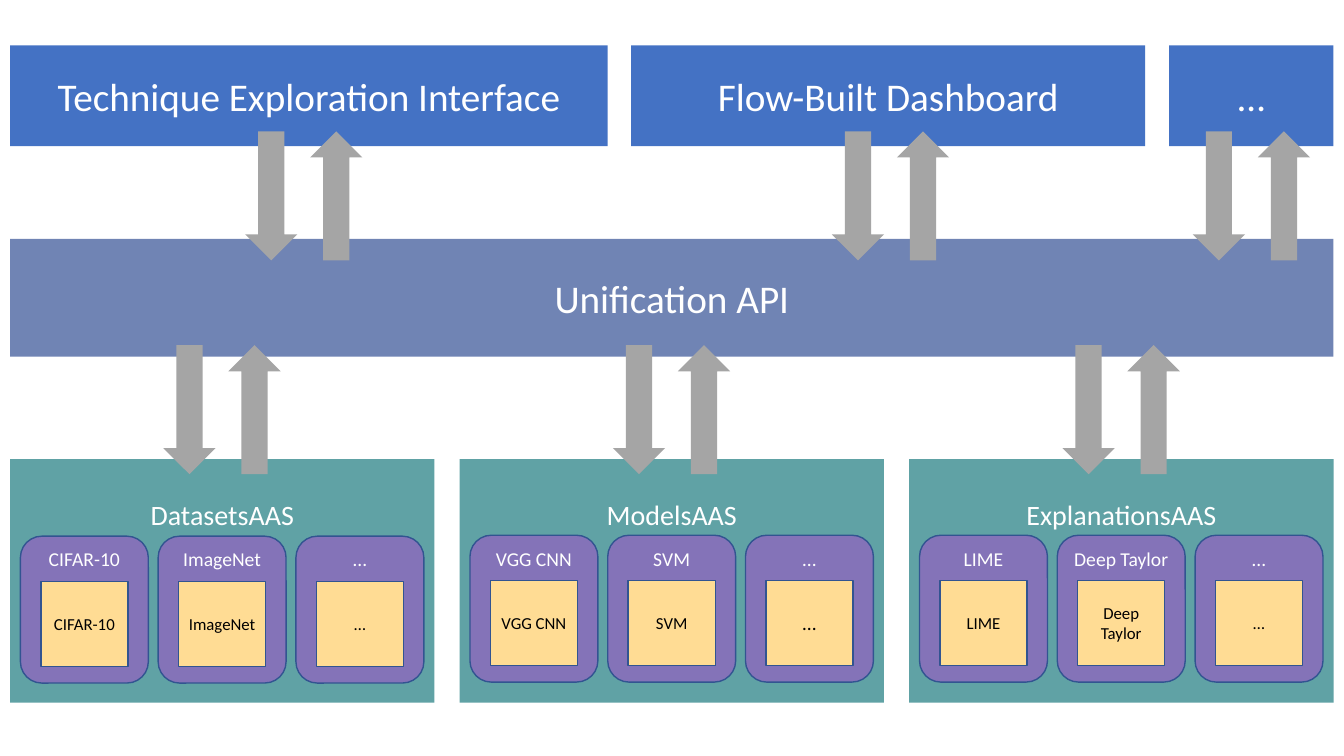
import pptx
import pptx.util
import pptx.dml.color
import pptx.enum.shapes
import pptx.enum.text

Pt = pptx.util.Pt
SHAPES = pptx.enum.shapes.MSO_SHAPE
ANCHORS = pptx.enum.text.MSO_ANCHOR

COLOURS = {
    "client": "4472C4",
    "api": "7084B4",
    "service": "60A2A5",
    "card": "8473B8",
    "item": "FFDC94",
    "outline": "325491",
    "arrow": "A5A5A5",
    "light": "FFFFFF",
    "dark": "000000",
}

LEFT = 7.2
FULL_WIDTH = 945.36
SERVICE_PITCH = 321.12
CARD_PITCH = 98.4
ARROW_PITCH = 46.5

CLIENTS = [
    ("Technique Exploration Interface", 7.2, 426.9, 167.8),
    ("Flow-Built Dashboard", 450.9, 367.1, 143.2),
    ("…", 835.1, 117.4, 16.8),
]
SERVICES = [
    ("DatasetsAAS", 383, [("CIFAR-10", 12), ("ImageNet", 12), ("…", 12)]),
    ("ModelsAAS", 382.3, [("VGG CNN", 12), ("SVM", 12), ("…", 14)]),
    ("ExplanationsAAS", 382.3, [("LIME", 12), ("Deep Taylor", 12), ("…", 12)]),
]


def colour(name):
    """Return the named colour of the palette."""
    return pptx.dml.color.RGBColor.from_string(COLOURS[name])


def add_box(page, box, fill, kind=SHAPES.RECTANGLE, outlined=False):
    """Add a flat filled shape in the given box."""
    shape = page.shapes.add_shape(kind, *[Pt(length) for length in box])
    shape.shadow.inherit = False
    shape.fill.solid()
    shape.fill.fore_color.rgb = colour(fill)
    if outlined:
        shape.line.color.rgb = colour("outline")
        shape.line.width = Pt(1)
    else:
        shape.line.fill.background()
    return shape


def write(shape, text, size, ink="light", anchor=ANCHORS.MIDDLE, spacing=None, inset=7.2):
    """Write one centred paragraph into a shape."""
    frame = shape.text_frame
    frame.word_wrap = True
    frame.vertical_anchor = anchor
    frame.margin_left = frame.margin_right = Pt(inset)
    para = frame.paragraphs[0]
    para.alignment = pptx.enum.text.PP_ALIGN.CENTER
    para.line_spacing = spacing
    span = para.add_run()
    span.text = text
    span.font.name = "Calibri"
    span.font.size = Pt(size)
    span.font.color.rgb = colour(ink)


def add_arrow_pair(page, left, top):
    """Add a downward arrow and an upward arrow side by side."""
    for index, rotation in enumerate((180, 0)):
        box = (left + index * ARROW_PITCH, top, 37.4, 92.2)
        add_box(page, box, "arrow", SHAPES.UP_ARROW).rotation = rotation


def add_client(page, box, label, arrow_offset):
    """Add a client block with the arrows below it."""
    left, top, width, height = box
    write(add_box(page, box, "client"), label, 28)
    add_arrow_pair(page, left + arrow_offset, top + 61.4)


def add_card(page, box, label, item_size):
    """Add a rounded card holding one item square."""
    left, top, width, height = box
    card = add_box(page, box, "card", SHAPES.ROUNDED_RECTANGLE, outlined=True)
    write(card, label, 14, anchor=ANCHORS.TOP)
    item = add_box(page, (left + 14.6, top + 32.4, 62.2, 60.8), "item", outlined=True)
    write(item, label, item_size, ink="dark", inset=6)


def add_service(page, box, label, card_top, items):
    """Add a service panel with its row of cards and the arrows above."""
    left, top, width, height = box
    write(add_box(page, box, "service"), label, 20, anchor=ANCHORS.TOP, spacing=2)
    for index, (item, size) in enumerate(items):
        card_box = (left + 7.4 + index * CARD_PITCH, card_top, 91.4, 104.9)
        add_card(page, card_box, item, size)
    add_arrow_pair(page, left + 109.4, top - 81.4)


def add_architecture(page):
    """Lay out the API bar, the services below and the clients above."""
    write(add_box(page, (LEFT, 170.6, FULL_WIDTH, 84.2), "api"), "Unification API", 28)
    for index, (label, card_top, items) in enumerate(SERVICES):
        box = (LEFT + index * SERVICE_PITCH, 327.9, 303.1, 174)
        add_service(page, box, label, card_top, items)
    for label, left, width, arrow_offset in CLIENTS:
        add_client(page, (left, 32.4, width, 72), label, arrow_offset)


def main():
    """Build and save the deck."""
    deck = pptx.Presentation()
    deck.slide_width, deck.slide_height = Pt(960), Pt(540)
    add_architecture(deck.slides.add_slide(deck.slide_layouts[6]))
    deck.save("out.pptx")


if __name__ == "__main__":
    main()
